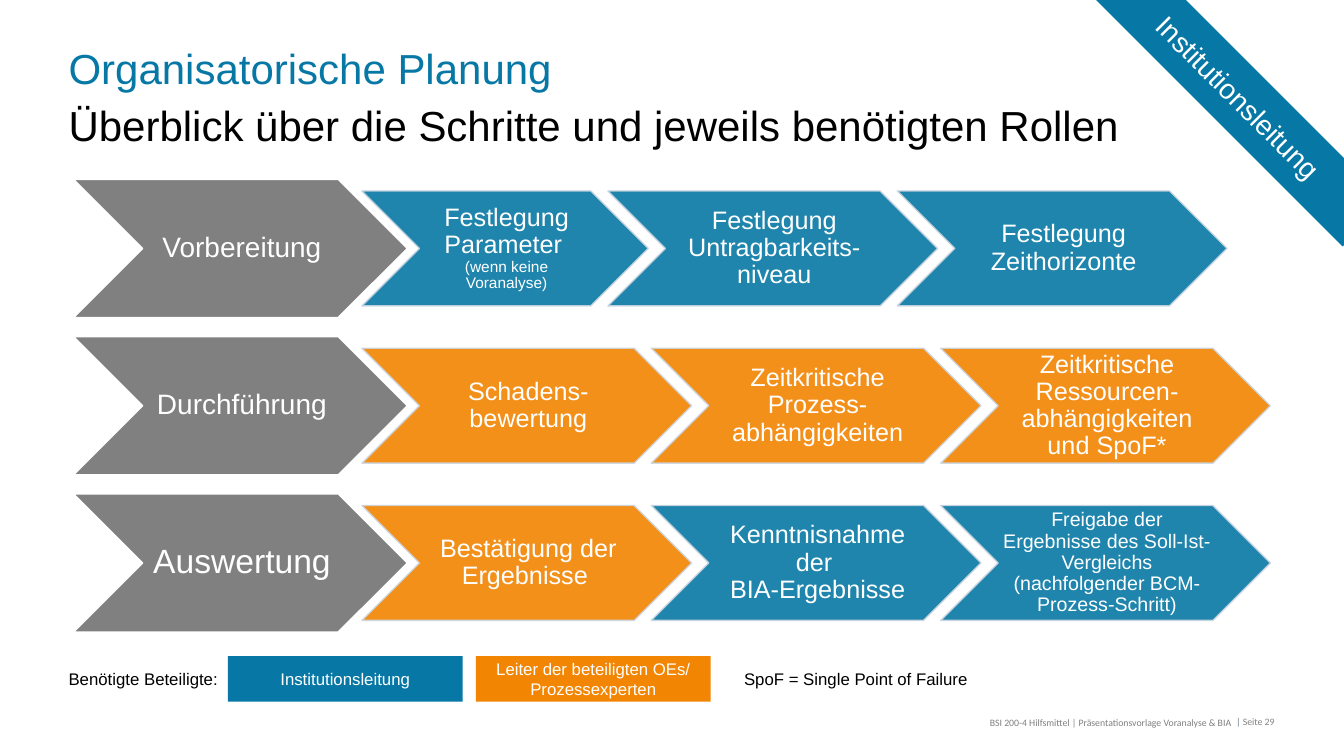
from lxml.etree import SubElement
from pptx import Presentation
from pptx.dml.color import RGBColor
from pptx.enum.shapes import MSO_SHAPE
from pptx.enum.text import MSO_ANCHOR, MSO_AUTO_SIZE, PP_ALIGN
from pptx.oxml.ns import qn
from pptx.util import Inches, Pt

COLORS = {
    "management": "0778A5",
    "experts": "F28502",
    "phase": "808080",
    "edge": "CCD6E1",
    "footer": "808080",
    "divider": "6B7581",
    "white": "FFFFFF",
    "black": "000000",
}

ROW_TOP, ROW_PITCH = 1.78, 1.56
PHASE_LEFT, PHASE_WIDTH, PHASE_HEIGHT = 0.73, 3.31, 1.37
STEP_WIDTH, STEP_HEIGHT = 3.27, 1.14
PHASE_OVERLAP, STEP_OVERLAP = 0.45, 0.4

# Phase, its text size, and its steps: role, text runs, format
PHASES = [
    ("Vorbereitung", 20, [
        ("management",
         ["Festlegung Parameter \n", ("(wenn keine Voranalyse)", {"size": 11})],
         {"width": 2.84}),
        ("management", ["Festlegung Untragbarkeits-niveau"], {}),
        ("management", ["Festlegung Zeithorizonte"], {}),
    ]),
    ("Durchführung", 20, [
        ("experts", ["Schadens-bewertung"], {}),
        ("experts", ["Zeitkritische Prozess-abhängigkeiten"], {}),
        ("experts", ["Zeitkritische Ressourcen-abhängigkeiten und SpoF*"], {}),
    ]),
    ("Auswertung", 24, [
        ("experts", ["Bestätigung der Ergebnisse "], {}),
        ("management", ["Kenntnisnahme der \nBIA-Ergebnisse"], {}),
        ("management",
         ["Freigabe der Ergebnisse des Soll-Ist-Vergleichs "
          "(nachfolgender BCM-Prozess-Schritt)"],
         {"size": 14}),
    ]),
]


def rgb(name):
    return RGBColor.from_string(COLORS[name])


def write(shape, runs, size=12, color="black", font="Arial", align=PP_ALIGN.LEFT,
          anchor=MSO_ANCHOR.TOP, insets=(0, 0, 0, 0), spacing=None, wrap=True):
    """Fill a shape with one paragraph; a run is a text or (text, overrides)."""
    frame = shape.text_frame
    frame.auto_size = MSO_AUTO_SIZE.NONE
    frame.word_wrap = wrap
    frame.vertical_anchor = anchor
    (frame.margin_left, frame.margin_top,
     frame.margin_right, frame.margin_bottom) = map(Inches, insets)
    paragraph = frame.paragraphs[0]
    paragraph.alignment = align
    paragraph.line_spacing = spacing
    for item in runs:
        text, overrides = (item, {}) if isinstance(item, str) else item
        for index, line in enumerate(text.split("\n")):
            if index:
                paragraph.add_line_break()
            if line:
                run = paragraph.add_run()
                run.text = line
                run.font.name = font
                run.font.size = Pt(overrides.get("size", size))
                run.font.color.rgb = rgb(overrides.get("color", color))


class PlanningSlide:
    def __init__(self, presentation):
        self.slide = presentation.slides.add_slide(presentation.slide_layouts[5])
        self.shapes = self.slide.shapes

    def title(self, text, box, **style):
        heading = self.shapes.title
        heading.left, heading.top, heading.width, heading.height = map(Inches, box)
        write(heading, [text], **style)

    def label(self, runs, box, **style):
        write(self.shapes.add_textbox(*map(Inches, box)), runs, **style)

    def block(self, kind, runs, box, fill, edge=None, opacity=None, **style):
        shape = self.shapes.add_shape(kind, *map(Inches, box))
        shape.shadow.inherit = False
        shape.fill.solid()
        shape.fill.fore_color.rgb = rgb(fill)
        if edge:
            shape.line.color.rgb = rgb(edge)
            shape.line.width = Pt(1)
        else:
            shape.line.fill.background()
        if opacity:
            for color in list(shape._element.spPr.iter(qn("a:srgbClr"))):
                SubElement(color, qn("a:alpha"), val=str(opacity * 1000))
        write(shape, runs, color="white", align=PP_ALIGN.CENTER,
              anchor=MSO_ANCHOR.MIDDLE, **style)
        return shape

    def chevron(self, runs, box, fill, edge, size, opacity=None):
        self.block(MSO_SHAPE.CHEVRON, runs, box, fill, edge, opacity, size=size,
                   insets=(0.03, 0.01, 0, 0.01), spacing=0.9)

    def panel(self, text, box, fill, size=12):
        return self.block(MSO_SHAPE.RECTANGLE, [text], box, fill, size=size,
                          insets=(0.08,) * 4)

    def phase_row(self, top, phase, phase_size, steps):
        self.chevron([phase], (PHASE_LEFT, top, PHASE_WIDTH, PHASE_HEIGHT),
                     "phase", "white", phase_size)
        left = PHASE_LEFT + PHASE_WIDTH - PHASE_OVERLAP
        step_top = top + (PHASE_HEIGHT - STEP_HEIGHT) / 2
        for role, runs, form in steps:
            width = form.get("width", STEP_WIDTH)
            self.chevron(runs, (left, step_top, width, STEP_HEIGHT), role, "edge",
                         form.get("size", 18), opacity=90)
            left += width - STEP_OVERLAP


def main():
    presentation = Presentation()
    presentation.slide_width = Inches(13.33)
    presentation.slide_height = Inches(7.5)
    planning = PlanningSlide(presentation)

    planning.title("Organisatorische Planung", (0.68, 0.44, 10.55, 0.55),
                   size=30, color="management", spacing=Pt(35))
    planning.label(["Überblick über die Schritte und jeweils benötigten Rollen"],
                   (0.68, 1, 10.55, 0.47), size=30, spacing=Pt(35))

    for row, phase in enumerate(PHASES):
        planning.phase_row(ROW_TOP + row * ROW_PITCH, *phase)

    planning.label(["Benötigte Beteiligte:"], (0.68, 6.63, 1.49, 0.2), wrap=False)
    planning.panel("Institutionsleitung", (2.26, 6.51, 2.33, 0.45), "management")
    planning.panel("Leiter der beteiligten OEs/ Prozessexperten",
                   (4.72, 6.51, 2.33, 0.45), "experts")
    planning.label(["SpoF = Single Point of Failure"], (7.38, 6.63, 2.24, 0.2),
                   wrap=False)

    footer = {"size": 7, "font": "Calibri", "color": "footer"}
    planning.label(["BSI 200-4 Hilfsmittel | Präsentationsvorlage Voranalyse & BIA"],
                   (7.7, 7.06, 4.51, 0.18), align=PP_ALIGN.RIGHT,
                   insets=(0.1, 0.05, 0, 0.05), **footer)
    planning.label([("| ", {"color": "divider"}), "Seite 29"],
                   (12.26, 6.98, 0.51, 0.24), anchor=MSO_ANCHOR.BOTTOM, **footer)

    ribbon = planning.panel("Institutionsleitung", (10.5, 0.65, 3.56, 0.63),
                            "management", size=20)
    ribbon.rotation = 45

    presentation.save("out.pptx")


if __name__ == "__main__":
    main()
